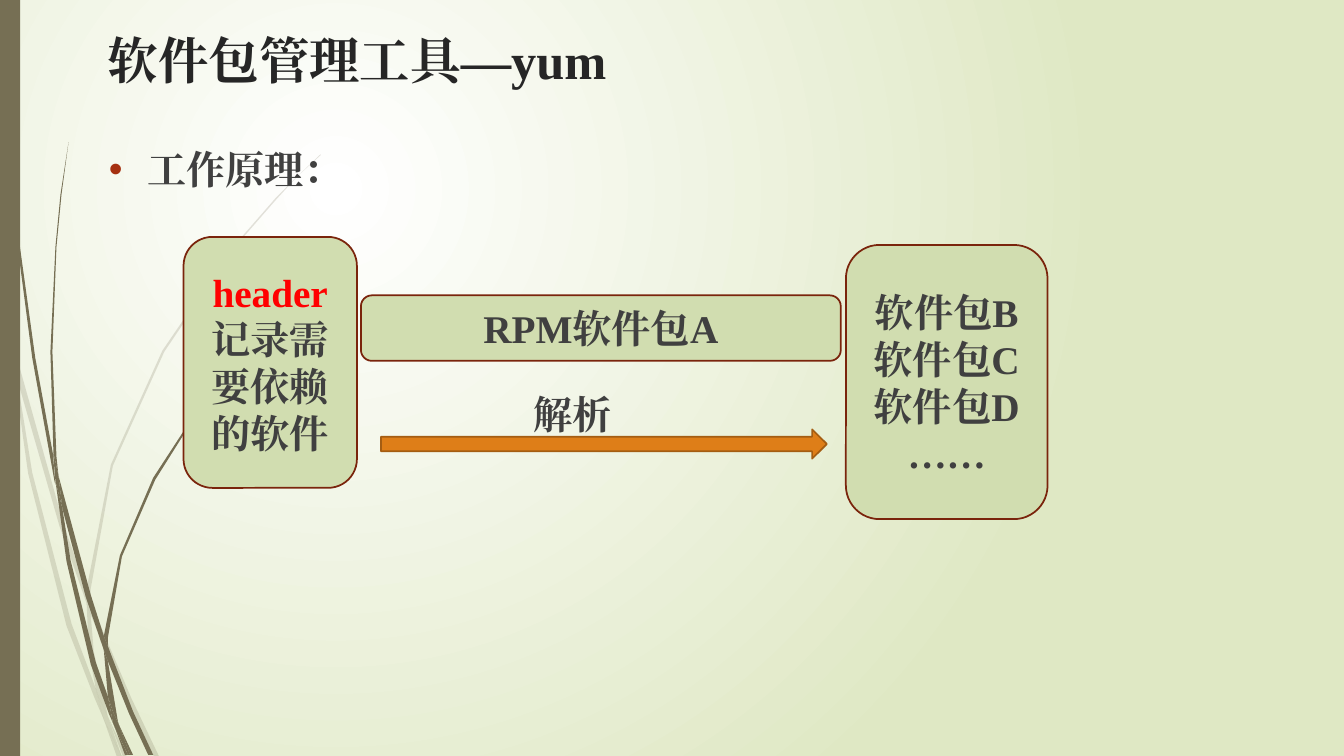
from pptx import Presentation
from pptx.dml.color import RGBColor
from pptx.enum.shapes import MSO_SHAPE
from pptx.enum.text import MSO_ANCHOR, MSO_AUTO_SIZE, PP_ALIGN
from pptx.oxml import parse_xml
from pptx.oxml.ns import nsdecls, qn
from pptx.util import Pt

PX = 9144  # one px is a hundredth of an inch
FONT = "Times New Roman"
HUES = {
    "glow": "FFFFFF", "edge": "DFE8C4", "grass": "766F54",
    "title": "262626", "text": "404040", "alert": "FF0000",
    "bullet": "A53010", "box": "D1DDB0", "rim": "7A240C",
    "arrow": "DE7E18", "shaft": "A45D12",
}

# Outlines of the grass blades, x and y in px
PALE = [
    [(11, 350), (9, 322), (0, 282), (0, 299), (10, 344)],
    [(59, 522), (86, 599), (86, 586), (63, 520), (14, 345), (17, 376)],
    [(94, 607), (90, 596), (90, 610), (125, 694), (153, 751), (158, 751),
     (130, 692)],
    [(122, 751), (126, 751), (107, 711)],
    [(95, 683), (71, 619), (32, 469), (17, 376), (11, 350), (28, 470),
     (66, 621), (94, 693), (103, 714), (101, 707)],
    [(86, 599), (88, 646), (95, 683), (98, 692), (107, 711), (106, 706),
     (93, 646), (90, 610), (89, 608)],
    [(90, 584), (112, 462), (163, 349), (233, 245), (274, 198), (295, 175),
     (318, 154), (318, 153), (295, 175), (273, 197), (232, 244), (161, 348),
     (110, 461), (86, 584), (86, 586), (90, 596)],
    [(103, 714), (116, 751), (121, 751)],
    [(89, 608), (90, 610), (90, 596), (86, 586), (86, 599)],
    [(98, 692), (95, 683), (101, 707), (103, 714), (121, 751), (107, 711)],
]
DARK = [
    [(7, 110), (16, 233), (32, 355), (54, 477), (55, 481), (53, 457),
     (53, 453), (35, 355), (18, 232), (8, 109), (5, 48), (3, 0), (3, 48)],
    [(85, 592), (103, 645), (103, 633), (103, 631), (90, 590), (58, 472),
     (62, 505)],
    [(110, 649), (107, 641), (107, 656), (128, 708), (147, 749), (152, 749),
     (132, 706)],
    [(107, 691), (95, 657), (70, 556), (62, 505), (55, 477), (66, 557),
     (90, 659), (108, 708), (114, 722), (112, 717)],
    [(58, 472), (56, 453), (52, 349), (56, 245), (61, 193), (68, 141),
     (60, 193), (55, 245), (50, 349), (53, 449)],
    [(129, 749), (132, 749), (118, 719)],
    [(55, 477), (62, 505), (58, 472), (53, 449), (53, 453)],
    [(107, 633), (121, 552), (154, 476), (198, 406), (224, 374), (238, 359),
     (253, 344), (252, 344), (238, 358), (224, 373), (197, 405), (152, 474),
     (119, 551), (103, 631), (107, 641)],
    [(114, 722), (124, 749), (127, 749)],
    [(103, 645), (107, 691), (112, 706), (118, 719), (117, 716), (107, 656),
     (105, 651)],
    [(103, 645), (105, 651), (107, 656), (107, 641), (103, 631), (103, 633)],
    [(112, 706), (107, 691), (112, 717), (114, 722), (127, 749), (129, 749),
     (118, 719)],
]


def px(*vals):
    return [val * PX for val in vals]


def hue(name):
    return RGBColor.from_string(HUES[name])


def paint(shape, fill, line=None):
    shape.shadow.inherit = False
    shape.fill.solid()
    shape.fill.fore_color.rgb = hue(fill)
    if line:
        shape.line.color.rgb = hue(line)
        shape.line.width = Pt(1.25)
    else:
        shape.line.fill.background()


def add_run(para, text, size=28, tint="text"):
    run = para.add_run()
    run.text = text
    font = run.font
    font.name, font.size, font.bold = FONT, Pt(size), True
    font.color.rgb = hue(tint)
    face = parse_xml(f'<a:ea {nsdecls("a")} typeface="{FONT}"/>')
    font.element.find(qn("a:latin")).addnext(face) if hasattr(font, "element") \
        else run._r.rPr.find(qn("a:latin")).addnext(face)


def set_back(slide):
    stops = "".join(
        f'<a:gs pos="{pos}"><a:srgbClr val="{HUES[name]}"/></a:gs>'
        for pos, name in ((0, "glow"), (100000, "edge")))
    back = parse_xml(
        f'<p:bg {nsdecls("p", "a")}><p:bgPr><a:gradFill rotWithShape="1">'
        f'<a:gsLst>{stops}</a:gsLst><a:path path="circle">'
        '<a:fillToRect l="50000" t="50000" r="100000" b="100000"/></a:path>'
        '</a:gradFill><a:effectLst/></p:bgPr></p:bg>')
    slide.element.find(qn("p:cSld")).insert(0, back)


def add_blade(slide, dots, alpha=None):
    pen = slide.shapes.build_freeform(*dots[0], scale=PX)
    pen.add_line_segments(dots[1:], close=True)
    blade = pen.convert_to_shape()
    paint(blade, "grass")
    if alpha:
        tint = blade.element.spPr.find(qn("a:solidFill"))[0]
        tint.append(parse_xml(
            f'<a:alpha {nsdecls("a")} val="{alpha * 1000}"/>'))


def add_box(slide, spot, lines):
    box = slide.shapes.add_shape(MSO_SHAPE.ROUNDED_RECTANGLE, *px(*spot))
    paint(box, "box", "rim")
    frame = box.text_frame
    frame.word_wrap = True
    frame.vertical_anchor = MSO_ANCHOR.MIDDLE
    for num, (text, tint) in enumerate(lines):
        para = frame.add_paragraph() if num else frame.paragraphs[0]
        para.alignment = PP_ALIGN.CENTER
        add_run(para, text, tint=tint)


def fill_holder(holder, spot, text, size, tint):
    holder.left, holder.top, holder.width, holder.height = px(*spot)
    frame = holder.text_frame
    frame.auto_size = MSO_AUTO_SIZE.NONE
    frame.vertical_anchor = MSO_ANCHOR.TOP
    para = frame.paragraphs[0]
    para.alignment = PP_ALIGN.LEFT
    add_run(para, text, size, tint)
    holder.element.getparent().append(holder.element)
    return para


def set_bullet(para):
    para.line_spacing, para.space_before = 1.3, Pt(10)
    props = para._p.get_or_add_pPr()
    props.set("marL", str(38 * PX))
    props.set("indent", str(-38 * PX))
    for part in (f'buClr {nsdecls("a")}><a:srgbClr val="{HUES["bullet"]}"/>'
                 '</a:buClr>',
                 f'buFont {nsdecls("a")} typeface="Arial"/>',
                 f'buChar {nsdecls("a")} char="•"/>'):
        props.append(parse_xml("<a:" + part))


def main():
    deck = Presentation()
    deck.slide_width, deck.slide_height = px(1333, 750)
    slide = deck.slides.add_slide(deck.slide_layouts[1])
    set_back(slide)

    # Grass and side bar
    for dots in PALE:
        add_blade(slide, dots, 20)
    for dots in DARK:
        add_blade(slide, dots)
    bar = slide.shapes.add_shape(MSO_SHAPE.RECTANGLE, *px(0, 0, 20, 750))
    paint(bar, "grass")

    # Title and list
    fill_holder(slide.shapes.title, (97, 24, 1157, 85),
                "软件包管理工具—yum", 36, "title")
    item = fill_holder(slide.placeholders[1], (98, 125, 1163, 568),
                       "工作原理：", 28, "text")
    set_bullet(item)

    # Package boxes
    add_box(slide, (358, 293, 476, 65), [("RPM软件包A", "text")])
    add_box(slide, (182, 235, 172, 249),
            [("header", "alert"), ("记录需要依赖的软件", "text")])
    add_box(slide, (839, 243, 200, 272),
            [(f"软件包{mark}", "text") for mark in "BCD"] + [("……", "text")])

    # Arrow and its label
    arrow = slide.shapes.add_shape(MSO_SHAPE.RIGHT_ARROW,
                                   *px(378, 426, 442, 29))
    paint(arrow, "arrow", "shaft")
    label = slide.shapes.add_textbox(*px(519, 382, 200, 57))
    label.text_frame.word_wrap = True
    add_run(label.text_frame.paragraphs[0], "解析")

    deck.save("out.pptx")


if __name__ == "__main__":
    main()
